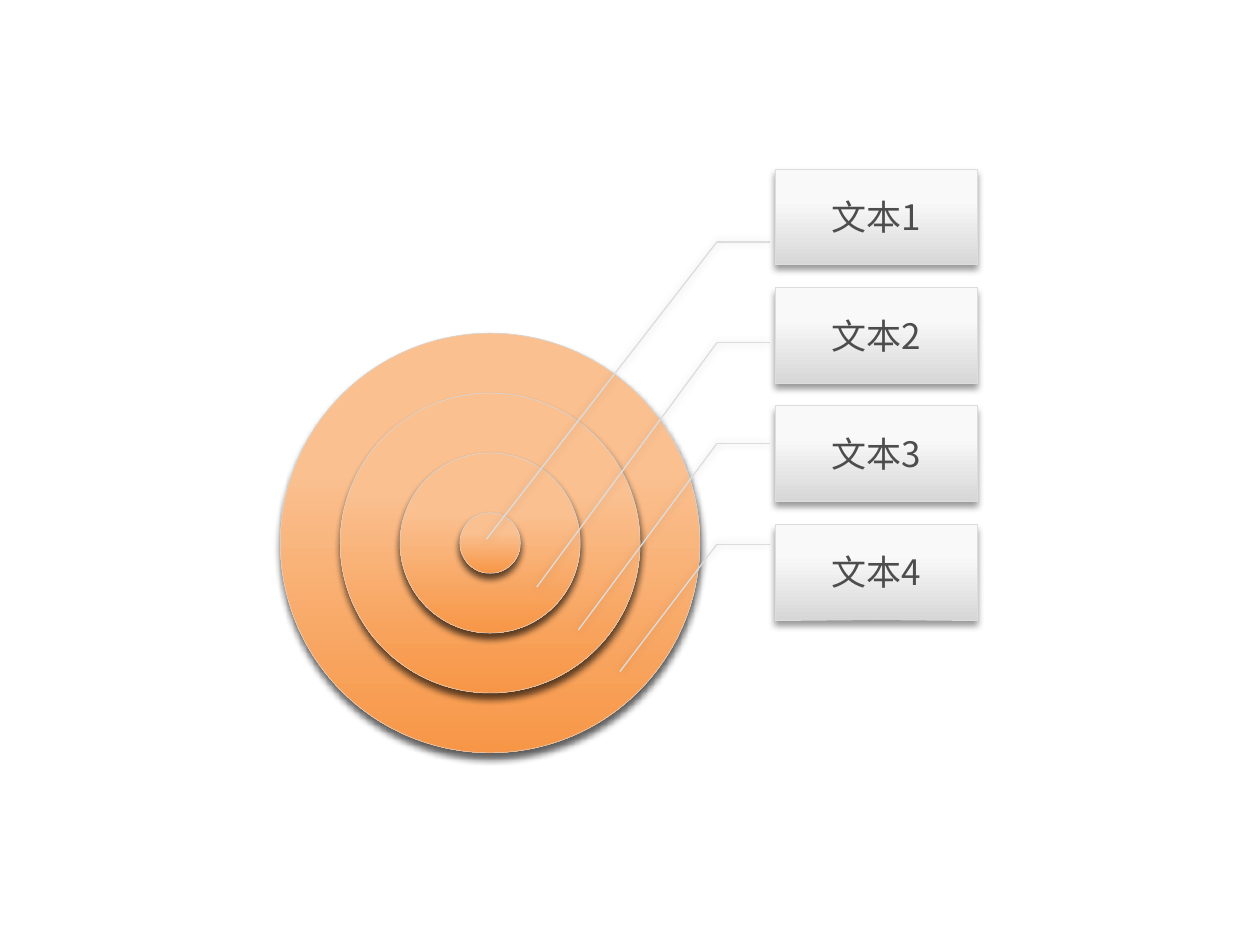
from dataclasses import dataclass

from lxml import etree
from pptx import Presentation
from pptx.dml.color import RGBColor
from pptx.enum.shapes import MSO_CONNECTOR, MSO_SHAPE
from pptx.enum.text import MSO_ANCHOR, PP_ALIGN
from pptx.oxml.ns import qn
from pptx.util import Inches, Pt

OVAL, RECT = MSO_SHAPE.OVAL, MSO_SHAPE.RECTANGLE
LINE = MSO_CONNECTOR.STRAIGHT
MIDDLE, CENTER = MSO_ANCHOR.MIDDLE, PP_ALIGN.CENTER


@dataclass(frozen=True)
class Shade:
    alpha: int
    blur: int
    dist: int
    angle: int


@dataclass(frozen=True)
class Theme:
    gray: tuple = ("F9F9F9", "D7D7D7")
    warm: tuple = ("FAC090", "F79646")
    rim: str = "D7D7D7"
    edge: str = "DDDDDD"
    ink: str = "4D4D4D"
    font: str = "Noto Sans CJK SC"
    size: int = 20
    thin: float = 0.25
    thick: float = 0.75
    drop: Shade = Shade(40, 4, 3, 90)
    glow: Shade = Shade(18, 5, 0, 0)


@dataclass(frozen=True)
class Label:
    text: str
    tip: tuple


THEME = Theme()
LABELS = (
    Label("文本1", (3.86, 4.28)),
    Label("文本2", (4.26, 4.66)),
    Label("文本3", (4.59, 5)),
    Label("文本4", (4.92, 5.33)),
)
HUB_X, HUB_Y = 3.89, 4.31
CORE, RING_STEP = 0.48, 0.95
KNEE_X, STUB_X, KNEE_TOP, KNEE_STEP = 5.69, 6.11, 1.92, 0.8
BOX_X, BOX_TOP, BOX_STEP = 6.15, 1.34, 0.94
BOX_W, BOX_H = 1.61, 0.76


def outline(shape, color: str, width: float, shade: Shade) -> None:
    """Set the line of a shape and the shadow it casts."""
    shape.line.color.rgb = RGBColor.from_string(color)
    shape.line.width = Pt(width)
    effects = etree.SubElement(shape._element.spPr, qn("a:effectLst"))
    shadow = etree.SubElement(
        effects, qn("a:outerShdw"), blurRad=str(Pt(shade.blur)),
        dist=str(Pt(shade.dist)), dir=str(shade.angle * 60000), rotWithShape="0")
    tone = etree.SubElement(shadow, qn("a:srgbClr"), val="000000")
    etree.SubElement(tone, qn("a:alpha"), val=str(shade.alpha * 1000))


def panel(shapes, kind, left: float, top: float, width: float, height: float,
          colors: tuple, edge: str):
    """Draw a shape with a downward gradient."""
    shape = shapes.add_shape(
        kind, Inches(left), Inches(top), Inches(width), Inches(height))
    shape.fill.gradient()
    shape.fill.gradient_angle = 270
    for stop, place, color in zip(shape.fill.gradient_stops, (0.33, 1), colors):
        stop.position = place
        stop.color.rgb = RGBColor.from_string(color)
    outline(shape, edge, THEME.thin, THEME.drop)
    return shape


def write(shape, text: str, *, size: int, color: str, font: str) -> None:
    """Put centred text in a shape."""
    frame = shape.text_frame
    frame.word_wrap = False
    frame.vertical_anchor = MIDDLE
    frame.margin_left = frame.margin_right = 0
    frame.margin_top = frame.margin_bottom = 0
    para = frame.paragraphs[0]
    para.alignment = CENTER
    run = para.add_run()
    run.text = text
    run.font.size = Pt(size)
    run.font.name = font
    run.font.color.rgb = RGBColor.from_string(color)
    etree.SubElement(run.font._element, qn("a:ea"), typeface=font)


def link(shapes, start: tuple, end: tuple) -> None:
    """Draw a straight leader line."""
    line = shapes.add_connector(LINE, *map(Inches, start + end))
    outline(line, THEME.edge, THEME.thick, THEME.glow)


def ring(shapes, index: int) -> None:
    """Draw one disc on its gray base."""
    size = CORE + RING_STEP * index
    for colors in (THEME.gray, THEME.warm):
        panel(shapes, OVAL, HUB_X - size / 2, HUB_Y - size / 2, size, size,
              colors, THEME.rim)


def callout(shapes, index: int, label: Label) -> None:
    """Draw a grouped text box with its bent leader."""
    group = shapes.add_group_shape().shapes
    knee = (KNEE_X, KNEE_TOP + KNEE_STEP * index)
    link(group, knee, (STUB_X, knee[1]))
    box = panel(group, RECT, BOX_X, BOX_TOP + BOX_STEP * index, BOX_W, BOX_H,
                THEME.gray, THEME.edge)
    write(box, label.text, size=THEME.size, color=THEME.ink, font=THEME.font)
    link(group, knee, label.tip)


def main() -> None:
    """Build the target slide and save it."""
    deck = Presentation()
    deck.slide_width, deck.slide_height = Inches(10), Inches(7.5)
    shapes = deck.slides.add_slide(deck.slide_layouts[6]).shapes
    for index in reversed(range(len(LABELS))):
        ring(shapes, index)
    for index, label in enumerate(LABELS):
        callout(shapes, index, label)
    deck.save("out.pptx")


if __name__ == "__main__":
    main()
